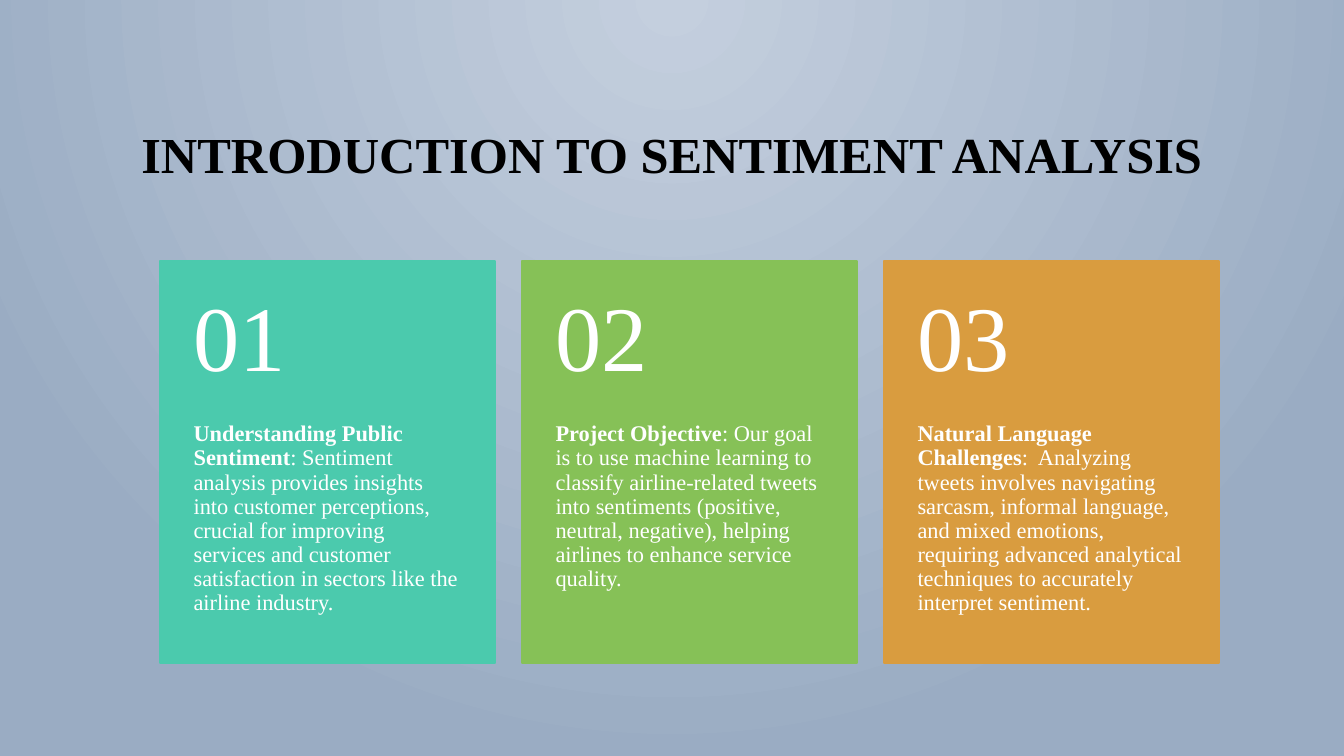
from pptx import Presentation
from pptx.dml.color import RGBColor
from pptx.enum.shapes import MSO_SHAPE
from pptx.enum.text import MSO_ANCHOR, PP_ALIGN
from pptx.oxml import parse_xml
from pptx.oxml.ns import nsdecls, qn
from pptx.util import Inches, Pt

# Colours and font
BLACK = RGBColor(0x00, 0x00, 0x00)
WHITE = RGBColor(0xFF, 0xFF, 0xFF)
TEAL = RGBColor(0x4B, 0xCA, 0xAD)
GREEN = RGBColor(0x86, 0xC1, 0x57)
ORANGE = RGBColor(0xD9, 0x9C, 0x3F)
BACKGROUND = (RGBColor(0xC4, 0xCF, 0xDE), RGBColor(0x9A, 0xAC, 0xC3))
FONT = "Times New Roman"

# Content
TITLE = "INTRODUCTION TO SENTIMENT ANALYSIS"
CARDS = [
    (TEAL, "Understanding Public Sentiment",
     ": Sentiment analysis provides insights into customer perceptions, crucial for "
     "improving services and customer satisfaction in sectors like the airline industry."),
    (GREEN, "Project Objective",
     ": Our goal is to use machine learning to classify airline-related tweets into "
     "sentiments (positive, neutral, negative), helping airlines to enhance service quality."),
    (ORANGE, "Natural Language Challenges",
     ":  Analyzing tweets involves navigating sarcasm, informal language, and mixed emotions, "
     "requiring advanced analytical techniques to accurately interpret sentiment."),
]

# Layout in inches
CARD_LEFT, CARD_TOP, CARD_WIDTH, CARD_HEIGHT = 1.59, 2.59, 3.32, 3.99
CARD_STEP = 3.59
NUMBER_HEIGHT = 1.6


def add_text(shapes, box, runs, size, color, margins,
             anchor=MSO_ANCHOR.TOP, align=PP_ALIGN.LEFT):
    """Add a one-paragraph text box; runs are (text, bold) pairs."""
    frame = shapes.add_textbox(*map(Inches, box)).text_frame
    frame.word_wrap = True
    frame.vertical_anchor = anchor
    (frame.margin_left, frame.margin_top,
     frame.margin_right, frame.margin_bottom) = map(Inches, margins)
    paragraph = frame.paragraphs[0]
    paragraph.alignment = align
    paragraph.line_spacing = 0.9
    for text, bold in runs:
        run = paragraph.add_run()
        run.text = text
        run.font.name = FONT
        run.font.size = Pt(size)
        run.font.bold = bold
        run.font.color.rgb = color


presentation = Presentation()
presentation.slide_width = Inches(13.33)
presentation.slide_height = Inches(7.5)
slide = presentation.slides.add_slide(presentation.slide_layouts[6])

# Background: circular gradient spreading from the top edge
fill = slide.background.fill
fill.gradient()
for stop, color in zip(fill.gradient_stops, BACKGROUND):
    stop.color.rgb = color
gradient = slide.element.find(".//" + qn("a:gradFill"))
gradient.replace(gradient.find(qn("a:lin")), parse_xml(
    f'<a:path {nsdecls("a")} path="circle">'
    '<a:fillToRect l="43000" t="0" r="43000" b="100000"/></a:path>'))

# Title
add_text(slide.shapes, (1, 0.68, 11.33, 1.75), [(TITLE, True)], 36, BLACK,
         (0.1, 0.05, 0.1, 0.05), MSO_ANCHOR.MIDDLE, PP_ALIGN.CENTER)

# Numbered cards
cards = slide.shapes.add_group_shape().shapes
for index, (color, heading, body) in enumerate(CARDS):
    left = CARD_LEFT + index * CARD_STEP
    card = cards.add_shape(MSO_SHAPE.RECTANGLE, *map(
        Inches, (left, CARD_TOP, CARD_WIDTH, CARD_HEIGHT)))
    card.shadow.inherit = False
    card.fill.solid()
    card.fill.fore_color.rgb = color
    card.line.color.rgb = color
    card.line.width = Pt(1.25)

    add_text(cards, (left, CARD_TOP + NUMBER_HEIGHT, CARD_WIDTH, CARD_HEIGHT - NUMBER_HEIGHT),
             [(heading, True), (body, False)], 16, WHITE, (0.33, 0, 0.33, 0.36))
    add_text(cards, (left, CARD_TOP, CARD_WIDTH, NUMBER_HEIGHT),
             [(f"{index + 1:02}", False)], 66, WHITE, (0.33, 0.18, 0.33, 0.18),
             MSO_ANCHOR.MIDDLE)

presentation.save("out.pptx")
